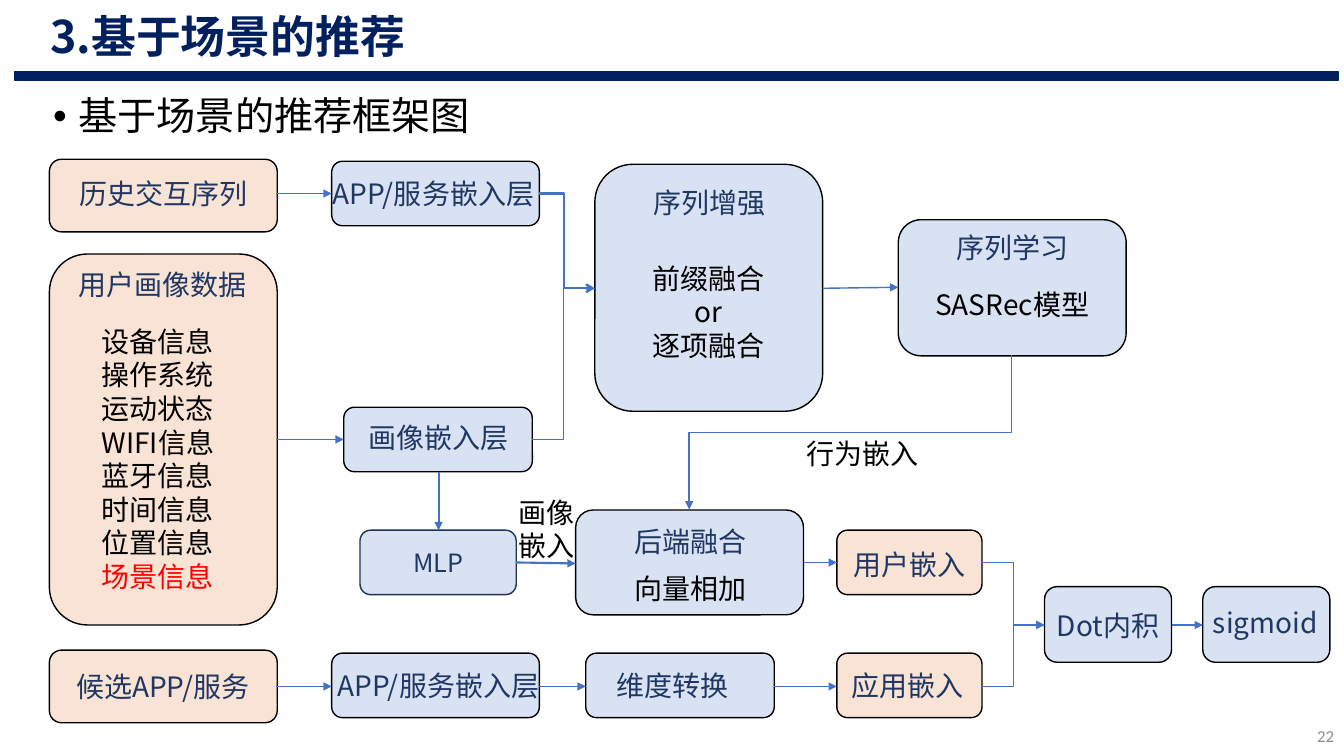
from dataclasses import dataclass

from lxml.etree import SubElement
from pptx import Presentation
from pptx.dml.color import RGBColor
from pptx.enum.shapes import MSO_CONNECTOR as CONNECTOR
from pptx.enum.shapes import MSO_SHAPE as SHAPE
from pptx.enum.text import MSO_ANCHOR as ANCHOR
from pptx.enum.text import MSO_AUTO_SIZE as AUTO_SIZE
from pptx.enum.text import PP_ALIGN as ALIGN
from pptx.oxml.ns import qn
from pptx.util import Inches, Pt


@dataclass(frozen=True)
class Theme:
    font: str = "Noto Sans CJK SC"
    number_font: str = "Calibri"
    navy: str = "002060"
    label: str = "203764"
    black: str = "000000"
    red: str = "FF0000"
    grey: str = "8C8C8C"
    data: str = "F8E3D5"
    module: str = "D9E2F3"
    module_edge: str = "1E3256"
    arrow: str = "4472C4"
    title_size: int = 32
    heading_size: int = 28
    body_size: int = 20
    mlp_size: int = 18
    number_size: int = 12


theme = Theme()
presentation = Presentation()
presentation.slide_width = Inches(13.33)
presentation.slide_height = Inches(7.5)
slide = presentation.slides.add_slide(presentation.slide_layouts[6])
shapes = slide.shapes


def add_box(kind, place, fill, edge):
    shape = shapes.add_shape(kind, *map(Inches, place))
    shape.shadow.inherit = False
    shape.fill.solid()
    shape.fill.fore_color.rgb = RGBColor.from_string(fill)
    shape.line.color.rgb = RGBColor.from_string(edge)
    shape.line.width = Pt(1)
    return shape


def write(shape, lines, size=theme.body_size, color=theme.label, align=ALIGN.CENTER,
          anchor=ANCHOR.MIDDLE, font=theme.font, bold=False):
    """Fill the shape with one paragraph per line and return its text frame."""
    frame = shape.text_frame
    frame.word_wrap = True
    frame.vertical_anchor = anchor
    for index, line in enumerate(lines):
        paragraph = frame.add_paragraph() if index else frame.paragraphs[0]
        paragraph.text = line
        paragraph.alignment = align
        for run in paragraph.runs:
            values = {"name": font, "size": Pt(size), "bold": bold}
            for name, value in values.items():
                setattr(run.font, name, value)
            run.font.color.rgb = RGBColor.from_string(color)
            SubElement(run.font._element, qn("a:ea")).set("typeface", font)
    return frame


# Title, rule, page number and heading
add_box(SHAPE.RECTANGLE, (0.15, 0.71, 13.12, 0.09), theme.navy, theme.navy)
page_number = shapes.add_textbox(*map(Inches, (12.95, 7.1, 0.38, 0.4)))
write(page_number, ["22"], theme.number_size, theme.grey, ALIGN.RIGHT,
      font=theme.number_font).margin_left = 0
title = shapes.add_textbox(*map(Inches, (0.4, 0.04, 8.16, 0.64)))
write(title, ["3.基于场景的推荐"], theme.title_size, theme.navy, ALIGN.LEFT,
      ANCHOR.TOP, bold=True).auto_size = AUTO_SIZE.SHAPE_TO_FIT_TEXT

heading = shapes.add_textbox(*map(Inches, (0.43, 0.91, 6.67, 0.52)))
heading_frame = write(heading, ["基于场景的推荐框架图"], theme.heading_size, theme.black,
                      ALIGN.LEFT, ANCHOR.TOP)
heading_frame.auto_size = AUTO_SIZE.SHAPE_TO_FIT_TEXT
bullet = heading_frame.paragraphs[0]
bullet_format = bullet._p.get_or_add_pPr()
bullet_format.set("marL", str(Inches(0.25)))
bullet_format.set("indent", str(Inches(-0.25)))
SubElement(bullet_format, qn("a:buFont")).set("typeface", "Arial")
SubElement(bullet_format, qn("a:buChar")).set("char", "•")
bullet.line_spacing = 0.9

# Rounded boxes
data_boxes = [
    (0.49, 2.52, 2.26, 3.68),
    (0.49, 1.58, 2.26, 0.72),
    (0.49, 6.45, 2.26, 0.72),
    (8.3, 6.48, 1.44, 0.64),
    (8.3, 5.26, 1.44, 0.64),
]
module_boxes = [
    (5.9, 1.63, 2.26, 2.45),
    (5.71, 5.06, 2.26, 1.04),
    (8.91, 2.18, 2.26, 1.35),
    (3.29, 6.48, 2.06, 0.64),
    (5.81, 6.48, 1.87, 0.64),
    (10.36, 5.82, 1.26, 0.75),
    (3.29, 1.6, 2.06, 0.64),
    (3.41, 4.04, 1.87, 0.64),
    (11.93, 5.82, 1.26, 0.75),
]
for fill, places in ((theme.data, data_boxes), (theme.module, module_boxes)):
    for place in places:
        add_box(SHAPE.ROUNDED_RECTANGLE, place, fill, theme.black)
mlp = add_box(SHAPE.ROUNDED_RECTANGLE, (3.57, 5.26, 1.55, 0.64), theme.module,
              theme.module_edge)
write(mlp, ["MLP"], theme.mlp_size)

# Labels
labels = [
    ("用户画像数据", (0.38, 2.56, 2.47, 0.52)),
    ("历史交互序列", (0.49, 1.66, 2.26, 0.52)),
    ("候选APP/服务", (0.43, 6.55, 2.37, 0.52)),
    ("序列增强", (5.8, 1.75, 2.47, 0.52)),
    ("序列学习", (8.91, 2.19, 2.26, 0.52)),
    ("后端融合", (5.72, 5.11, 2.26, 0.52)),
    ("APP/服务嵌入层", (3.22, 6.54, 2.26, 0.52)),
    ("维度转换", (5.54, 6.54, 2.26, 0.52)),
    ("用户嵌入", (7.89, 5.34, 2.26, 0.52)),
    ("应用嵌入", (7.87, 6.54, 2.26, 0.52)),
    ("Dot内积", (10.27, 5.94, 1.44, 0.52)),
    ("APP/服务嵌入层", (3.17, 1.66, 2.26, 0.52)),
    ("画像嵌入层", (3.22, 4.08, 2.26, 0.52)),
    ("sigmoid", (11.83, 5.91, 1.44, 0.52)),
]
details = [
    ("前缀融合\nor\n逐项融合", (6.26, 2.24, 1.54, 1.7)),
    ("SASRec模型", (8.91, 2.28, 2.26, 1.48)),
    ("行为嵌入", (7.82, 4.12, 1.47, 0.75)),
    ("画像嵌入", (4.96, 4.87, 0.93, 0.75)),
    ("向量相加", (5.72, 5.64, 2.26, 0.39)),
]
for color, entries in ((theme.label, labels), (theme.black, details)):
    for text, place in entries:
        write(shapes.add_textbox(*map(Inches, place)), text.split("\n"), color=color)

profile = shapes.add_textbox(*map(Inches, (0.91, 3.07, 1.54, 2.96)))
profile_fields = ["设备信息", "操作系统", "运动状态", "WIFI信息", "蓝牙信息", "时间信息",
                  "位置信息", "场景信息"]
profile_frame = write(profile, profile_fields, color=theme.black, align=ALIGN.LEFT)
scene_run = profile_frame.paragraphs[-1].runs[0]
scene_run.font.color.rgb = RGBColor.from_string(theme.red)

# Arrows: kind, start, end, width, head, extra geometry
straight, elbow = CONNECTOR.STRAIGHT, CONNECTOR.ELBOW
arrows = [
    (straight, (2.74, 6.81), (3.29, 6.81), 1, "triangle", {}),
    (straight, (5.35, 6.81), (5.81, 6.81), 1, "triangle", {}),
    (straight, (7.68, 6.81), (8.3, 6.81), 1, "triangle", {}),
    (straight, (2.74, 1.92), (3.29, 1.92), 1, "triangle", {}),
    (straight, (2.74, 4.36), (3.41, 4.36), 1, "triangle", {}),
    (straight, (8.16, 2.86), (8.91, 2.85), 1, "triangle", {}),
    (straight, (11.62, 6.2), (11.93, 6.2), 1, "triangle", {}),
    (straight, (7.97, 5.58), (8.3, 5.58), 1, "triangle", {}),
    (straight, (4.35, 4.68), (4.35, 5.26), 1.5, "triangle", {}),
    (straight, (5.12, 5.58), (5.71, 5.59), 1.5, "triangle", {}),
    (elbow, (9.74, 5.58), (10.36, 6.2), 1, "triangle", {}),
    (elbow, (9.74, 6.81), (10.36, 6.2), 1, "triangle", {}),
    (elbow, (5.28, 4.36), (5.9, 2.86), 1, "triangle", {}),
    (elbow, (7.67, 2.69), (9.2, 5.89), 1, "triangle", {"turn": 90}),
    (elbow, (5.35, 1.92), (5.9, 2.86), 1.5, "arrow", {"bend": 0.45}),
]
for kind, start, end, width, head, geometry in arrows:
    connector = shapes.add_connector(kind, *map(Inches, start + end))
    connector.line.color.rgb = RGBColor.from_string(theme.arrow)
    connector.line.width = Pt(width)
    properties = connector._element.spPr
    SubElement(connector.line._get_or_add_ln(), qn("a:tailEnd")).set("type", head)
    SubElement(properties, qn("a:effectLst"))
    if "turn" in geometry:
        properties.find(qn("a:xfrm")).set("rot", str(geometry["turn"] * 60000))
    if "bend" in geometry:
        guide = SubElement(properties.find(qn("a:prstGeom")).find(qn("a:avLst")), qn("a:gd"))
        guide.set("name", "adj1")
        guide.set("fmla", f"val {round(geometry['bend'] * 100000)}")

presentation.save("out.pptx")
